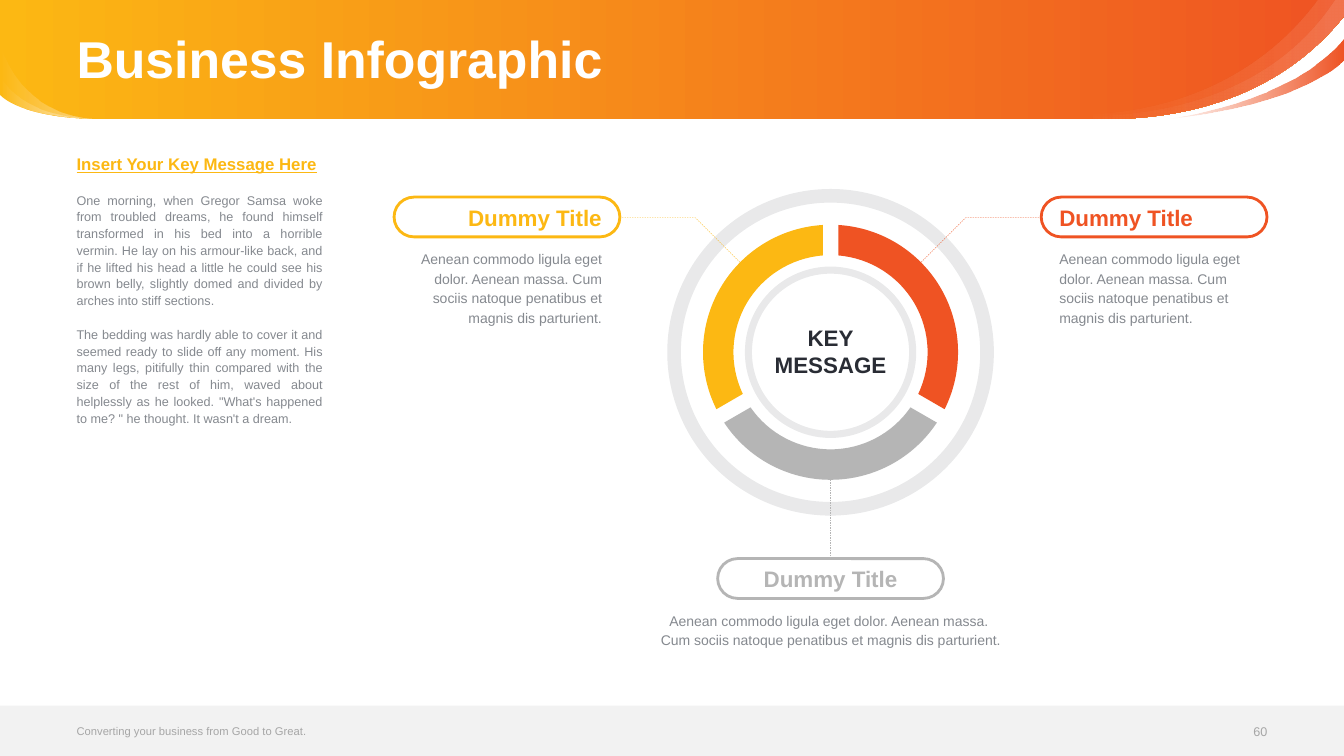
from dataclasses import dataclass
from math import asin, cos, radians, sin, tan

from lxml.etree import SubElement
from pptx import Presentation
from pptx.dml.color import RGBColor as Rgb
from pptx.enum.dml import MSO_LINE as Dash
from pptx.enum.shapes import MSO_CONNECTOR as Link, MSO_SHAPE as Kind
from pptx.enum.text import MSO_ANCHOR as Anchor, PP_ALIGN as Align
from pptx.oxml.ns import qn
from pptx.util import Emu, Pt

COLS, ROWS, UNIT = 160, 90, 76200
EDGE = 9.12


@dataclass(frozen=True)
class Theme:
    """Colours and type sizes of the slide."""
    font: str = "Arial"
    gold: str = "FCB813"
    red: str = "EF5323"
    gray: str = "B5B5B5"
    dark: str = "292C34"
    body: str = "85898F"
    faint: str = "A6A6A6"
    band: str = "F2F2F2"
    white: str = "FFFFFF"
    title: float = 37
    label: float = 16
    head: float = 12
    text: float = 10
    small: float = 9
    foot: float = 8


@dataclass(frozen=True)
class Box:
    """A rectangle in grid columns and rows."""
    x: float
    y: float
    w: float
    h: float

    def emu(self):
        """Give the rectangle as slide lengths."""
        return [grid(n) for n in (self.x, self.y, self.w, self.h)]


T = Theme()


def grid(n):
    """Turn grid units into a length."""
    return Emu(round(n * UNIT))


def sheer(shape, alphas):
    """Set the opacity of each colour in a shape's fill."""
    for node, alpha in zip(shape.element.iter(qn("a:srgbClr")), alphas):
        if alpha < 100:
            SubElement(node, qn("a:alpha"), val=str(alpha * 1000))


def paint(shape, color, alpha=100):
    """Give a shape a plain fill without line or shadow."""
    shape.shadow.inherit = False
    shape.fill.solid()
    shape.fill.fore_color.rgb = Rgb.from_string(color)
    shape.line.fill.background()
    sheer(shape, [alpha])


def fade(shape, stops):
    """Fill a shape with a two-stop gradient of place, colour and opacity."""
    shape.shadow.inherit = False
    shape.line.fill.background()
    shape.fill.gradient()
    shape.fill.gradient_angle = 0
    for stop, (place, color, _) in zip(shape.fill.gradient_stops, stops):
        stop.position = place
        stop.color.rgb = Rgb.from_string(color)
    sheer(shape, [alpha for _, _, alpha in stops])


def trace(slide, x, y, steps, close=True):
    """Draw an outline of lines (2 numbers) and cubic curves (6 numbers)."""
    first, *rest = [(grid(x + a), grid(y + b))
                    for step in steps for a, b in zip(step[::2], step[1::2])]
    form = slide.shapes.build_freeform(*first)
    form.add_line_segments(rest, close=close)
    shape = form.convert_to_shape()
    legs = iter(list(shape.element.iter(qn("a:lnTo"))))
    for step in steps[1:]:
        leg = next(legs)
        if len(step) == 6:
            curve = leg.makeelement(qn("a:cubicBezTo"))
            leg.addprevious(curve)
            for part in (leg, next(legs), next(legs)):
                curve.append(part[0])
                part.getparent().remove(part)
    return shape


def stroke(line, color, width, dash=None):
    """Set the colour, width and dash of a line."""
    line.color.rgb = Rgb.from_string(color)
    line.width = Pt(width)
    if dash:
        line.dash_style = dash


def write(slide, box, lines, size, color, align=Align.LEFT, bold=False,
          lead=None, anchor=Anchor.TOP):
    """Add a text box with one run per line and return its frame."""
    frame = slide.shapes.add_textbox(*box.emu()).text_frame
    frame.word_wrap = True
    frame.vertical_anchor = anchor
    frame.margin_left = frame.margin_right = 0
    frame.margin_top = frame.margin_bottom = 0
    for i, line in enumerate(lines):
        para = frame.add_paragraph() if i else frame.paragraphs[0]
        para.alignment = align
        if lead:
            para.line_spacing = lead
        run = para.add_run()
        run.text = line
        run.font.name, run.font.size, run.font.bold = T.font, Pt(size), bold
        run.font.color.rgb = Rgb.from_string(color)
    return frame


def header(slide, box):
    """Draw the curved banner and its title."""
    w, h = box.w, box.h
    glow = [(0.15, T.white, 0), (1, T.white, 10)]
    shine = [(0, T.white, 0), (1, T.white, 50)]
    right = [(w, 0), (w, 1.92)]
    curl = (2.16, 14.04, 0, 11.28, 0, 11.28)
    left = [(11.7, h), curl]
    parts = [
        (right + [(151.92, 12, 140.4, 14.04, 132.6, h), (11.64, h), curl, (0, 0)],
         [(0, T.gold, 100), (1, T.red, 100)]),
        (right + [(146.88, 18.36, 124.68, 13.56, 124.08, 13.44),
                  (124.8, 13.44, 147.84, 16.68, 158.88, 0)], glow),
        ([(138.84, h), (138.84, h, 153.84, 12.36, w, 4.44), (w, 7.08),
          (w, 7.08, 155.28, 12.48, 138.84, h)],
         [(0, T.red, 0), (1, T.red, 100)]),
        (right + [(146.76, 18.6, 124.08, 13.44, 124.08, 13.44),
                  (142.68, 14.64, 152.4, 6, 156.84, 0)], glow),
        (left + [(0, 9.12), (0, 9.12, 2.16, 14.04, 11.7, h)], shine),
        (left + [(0, 5.4), (0, 5.4, 2.16, 13.92, 11.7, h)], shine),
    ]
    for steps, stops in parts:
        fade(trace(slide, box.x, box.y, steps), stops)


def footer(slide, box):
    """Draw the bottom band with its motto and page number."""
    paint(slide.shapes.add_shape(Kind.RECTANGLE, *box.emu()), T.band)
    top = box.y + 1.5
    write(slide, Box(box.x + EDGE, top, 62.76, 3.12),
          ["Converting your business from Good to Great."], T.foot, T.faint,
          anchor=Anchor.MIDDLE)
    write(slide, Box(box.x + box.w - EDGE - 7.56, top, 7.56, 3.12), ["60"],
          T.small, T.faint, align=Align.RIGHT, anchor=Anchor.MIDDLE)


def story(slide, box):
    """Write the key message column."""
    frame = write(slide, box, [
        "Insert Your Key Message Here",
        "One morning, when Gregor Samsa woke from troubled dreams, he found himself "
        "transformed in his bed into a horrible vermin. He lay on his armour-like back, "
        "and if he lifted his head a little he could see his brown belly, slightly domed "
        "and divided by arches into stiff sections.",
        "The bedding was hardly able to cover it and seemed ready to slide off any moment. "
        "His many legs, pitifully thin compared with the size of the rest of him, waved "
        "about helplessly as he looked. \"What's happened to me? \" he thought. "
        "It wasn't a dream.",
    ], T.small, T.body, align=Align.JUSTIFY, lead=Pt(12))
    head, *rest = frame.paragraphs
    font = head.runs[0].font
    font.size, font.bold, font.underline = Pt(T.head), True, True
    font.color.rgb = Rgb.from_string(T.gold)
    for para in rest:
        para.space_before = Pt(12)


def arc(r, start, end):
    """Give the first point and two curves of an arc around the origin."""
    half = (end - start) / 2
    k = 4 / 3 * tan(half / 4)
    steps = [(r * cos(start), r * sin(start))]
    for a in (start, start + half):
        b = a + half
        steps.append((r * (cos(a) - k * sin(a)), r * (sin(a) + k * cos(a)),
                      r * (cos(b) + k * sin(b)), r * (sin(b) - k * cos(b)),
                      r * cos(b), r * sin(b)))
    return steps


def wheel(slide, box):
    """Draw two rings, three arcs and the message in the middle."""
    mx, my = box.x + box.w / 2, box.y + box.h / 2
    for r, thick in ((10.2, 0.84), (box.w / 2, 1.62)):
        area = Box(mx - r, my - r, 2 * r, 2 * r)
        ring = slide.shapes.add_shape(Kind.DONUT, *area.emu())
        ring.adjustments[0] = thick / area.w
        paint(ring, T.dark, 10)
    for start, color in ((30, T.gray), (150, T.gold), (270, T.red)):
        a, b = radians(start), radians(start + 120)
        out, gap = asin(0.92 / 15.18), asin(0.92 / 11.56)
        steps = arc(15.18, a + out, b - out) + arc(11.56, b - gap, a + gap)
        paint(trace(slide, mx, my, steps), color)
    write(slide, Box(mx - 11.1, my - 3.3, 22.2, 6.48), ["KEY", "MESSAGE"],
          T.label, T.dark, align=Align.CENTER, bold=True)


def callout(slide, box, color, align, lines, wide):
    """Draw a titled pill with its text and its line to the wheel."""
    inset = 2.16
    write(slide, Box(box.x + inset, box.y + 0.8, box.w - 2 * inset, 3.24),
          ["Dummy Title"], T.label, color, align=align, bold=True)
    pill = slide.shapes.add_shape(Kind.ROUNDED_RECTANGLE, *box.emu())
    pill.adjustments[0] = 0.5
    pill.shadow.inherit = False
    pill.fill.background()
    stroke(pill.line, color, 2)
    mid = box.x + box.w / 2
    if align == Align.CENTER:
        left = mid - wide / 2
        link = slide.shapes.add_connector(Link.STRAIGHT, grid(mid), grid(box.y - 9.38),
                                          grid(mid), grid(box.y))
        link.end_connect(pill, 0)
        stroke(link.line, color, 0.25, Dash.DASH)
        SubElement(link.element.spPr, qn("a:effectLst"))
    else:
        near = align == Align.LEFT
        left = box.x + inset if near else box.x + box.w - inset - wide
        edge, way = (box.x, -1) if near else (box.x + box.w, 1)
        elbow = trace(slide, edge, box.y + box.h / 2 + 0.1,
                      [(14.3 * way, 5.3), (9 * way, 0), (0.2 * way, 0)], close=False)
        elbow.shadow.inherit = False
        elbow.fill.background()
        stroke(elbow.line, color, 0.25, Dash.DASH)
    write(slide, Box(left, box.y + 6.04, wide, 9.48), lines, T.text, T.body,
          align=align, lead=Pt(14))


def main():
    """Build the slide and save it."""
    deck = Presentation()
    deck.slide_width, deck.slide_height = grid(COLS), grid(ROWS)
    slide = deck.slides.add_slide(deck.slide_layouts[6])
    header(slide, Box(0, 0, COLS, 14.16))
    write(slide, Box(EDGE, 0.6, COLS - 2 * EDGE, 13.56), ["Business Infographic"],
          T.title, T.white, bold=True, lead=0.9, anchor=Anchor.MIDDLE)
    footer(slide, Box(0, 84, COLS, 6))
    story(slide, Box(EDGE, 18.72, 29.28, 62.28))
    wheel(slide, Box(79.44, 22.5, 38.88, 38.88))
    parts = ["Aenean commodo ligula eget dolor. Aenean massa. ",
             "Cum sociis natoque penatibus et magnis dis parturient."]
    whole = ["".join(parts)]
    for x, y, color, align, lines, wide in (
            (85.44, 66.5, T.gray, Align.CENTER, parts, 42.48),
            (46.92, 23.46, T.gold, Align.RIGHT, whole, 23.16),
            (123.96, 23.46, T.red, Align.LEFT, whole, 23.16)):
        callout(slide, Box(x, y, 26.88, 4.74), color, align, lines, wide)
    deck.save("out.pptx")


if __name__ == "__main__":
    main()
